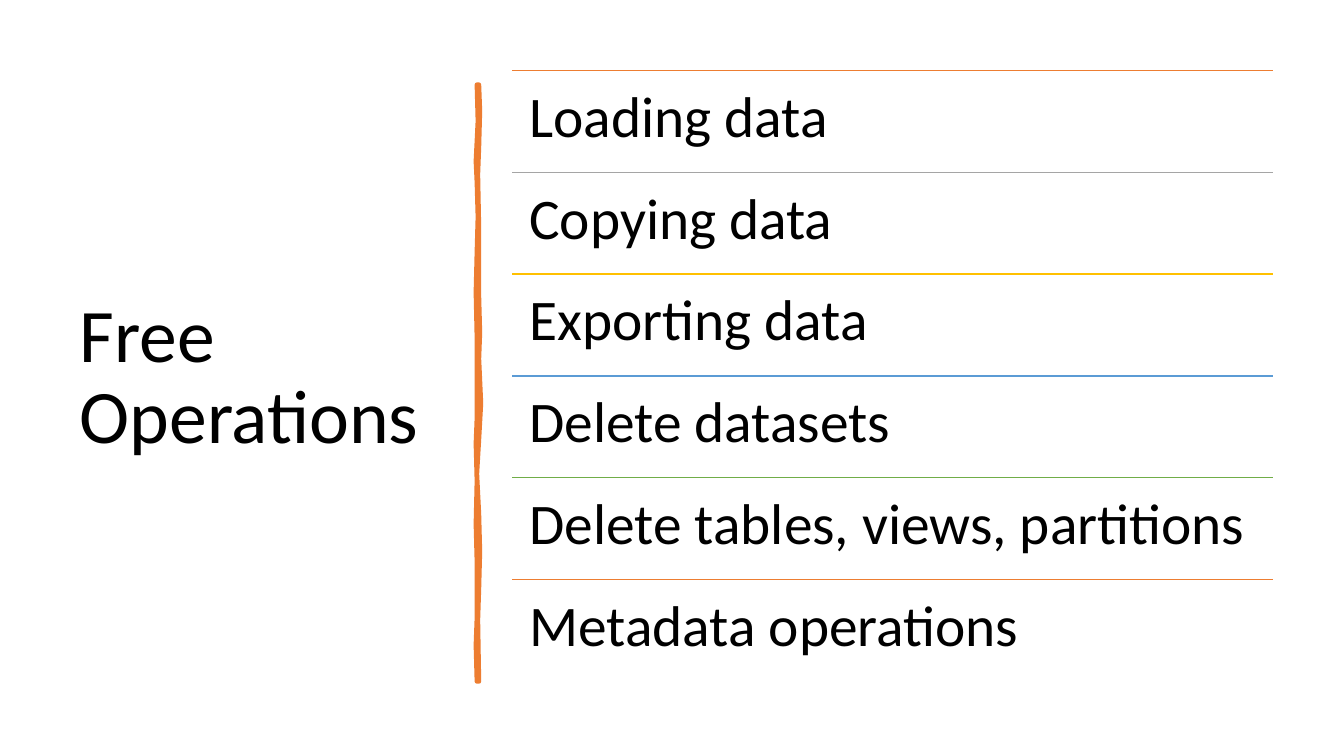
"""Build the slide of free operations."""
from dataclasses import dataclass

from lxml import etree
from pptx import Presentation
from pptx import util as u
from pptx.dml.color import RGBColor
from pptx.enum import shapes, text
from pptx.oxml.ns import qn

SCALE = 9144
LEFT, TOP, WIDTH, STEP, INSET = 508, 70, 755, 101, 17
FONT, BLACK, ORANGE = "Calibri", "000000", "ED7D31"
EDGE = [
    (475, 84), (476, 110), (475, 146), (474, 173), (475, 226), (475, 294),
    (476, 330), (475, 356), (477, 400), (475, 436), (473, 470), (475, 510),
    (476, 547), (475, 584), (474, 615), (475, 676), (473, 676), (472, 640),
    (473, 613), (473, 557), (472, 520), (473, 477), (472, 440), (473, 415),
    (473, 335), (472, 290), (473, 250), (474, 215), (473, 181), (472, 160),
    (474, 120), (473, 84),
]


@dataclass
class Row:
    """One operation and the colour of the rule above it."""
    label: str
    hue: str


ROWS = [
    Row("Loading data", ORANGE),
    Row("Copying data", "A5A5A5"),
    Row("Exporting data", "FFC000"),
    Row("Delete datasets", "5B9BD5"),
    Row("Delete tables, views, partitions", "70AD47"),
    Row("Metadata operations", ORANGE),
]


def px(num: int) -> u.Emu:
    """Turn px into EMU."""
    return u.Emu(num * SCALE)


def paint(target, hue: str) -> None:
    """Give a fill one solid colour."""
    target.solid()
    target.fore_color.rgb = RGBColor.from_string(hue)


def write(frame, words: str, size: int) -> None:
    """Set left-aligned text in the slide's font."""
    frame.text = words
    frame.word_wrap = True
    frame.auto_size = text.MSO_AUTO_SIZE.NONE
    para = frame.paragraphs[0]
    para.alignment = text.PP_ALIGN.LEFT
    para.line_spacing = 0.9
    font = para.runs[0].font
    font.name, font.size = FONT, u.Pt(size)
    paint(font.fill, BLACK)


def add_title(slide) -> None:
    """Place the title at the left."""
    title = slide.shapes.title
    title.left, title.top = px(69), px(70)
    title.width, title.height = px(374), px(611)
    write(title.text_frame, "Free Operations", 54)
    title.text_frame.vertical_anchor = text.MSO_ANCHOR.MIDDLE


def add_stroke(slide) -> None:
    """Draw the wavy upright stroke."""
    pen = slide.shapes.build_freeform(*EDGE[0], scale=SCALE)
    pen.add_line_segments(EDGE[1:], close=True)
    stroke = pen.convert_to_shape()
    stroke.shadow.inherit = False
    paint(stroke.fill, ORANGE)
    paint(stroke.line.fill, ORANGE)
    stroke.line.width = u.Pt(3.25)
    edge = stroke.element.spPr.find(qn("a:ln"))
    etree.SubElement(edge, qn("a:round"))


def add_row(slide, row: Row, top: int) -> None:
    """Draw a rule with its label below."""
    rule = slide.shapes.add_connector(
        shapes.MSO_CONNECTOR.STRAIGHT,
        px(LEFT), px(top), px(LEFT + WIDTH), px(top))
    paint(rule.line.fill, row.hue)
    rule.line.width = u.Pt(1)
    etree.SubElement(rule.element.spPr, qn("a:effectLst"))
    box = slide.shapes.add_textbox(px(LEFT), px(top), px(WIDTH), px(STEP))
    frame = box.text_frame
    frame.margin_left = frame.margin_right = px(INSET)
    frame.margin_top = frame.margin_bottom = px(INSET)
    write(frame, row.label, 41)


def main() -> None:
    """Build and save the deck."""
    deck = Presentation()
    deck.slide_width, deck.slide_height = px(1333), px(750)
    slide = deck.slides.add_slide(deck.slide_layouts.get_by_name("Title Only"))
    add_title(slide)
    add_stroke(slide)
    for i, row in enumerate(ROWS):
        add_row(slide, row, TOP + i * STEP)
    deck.save("out.pptx")


if __name__ == "__main__":
    main()
